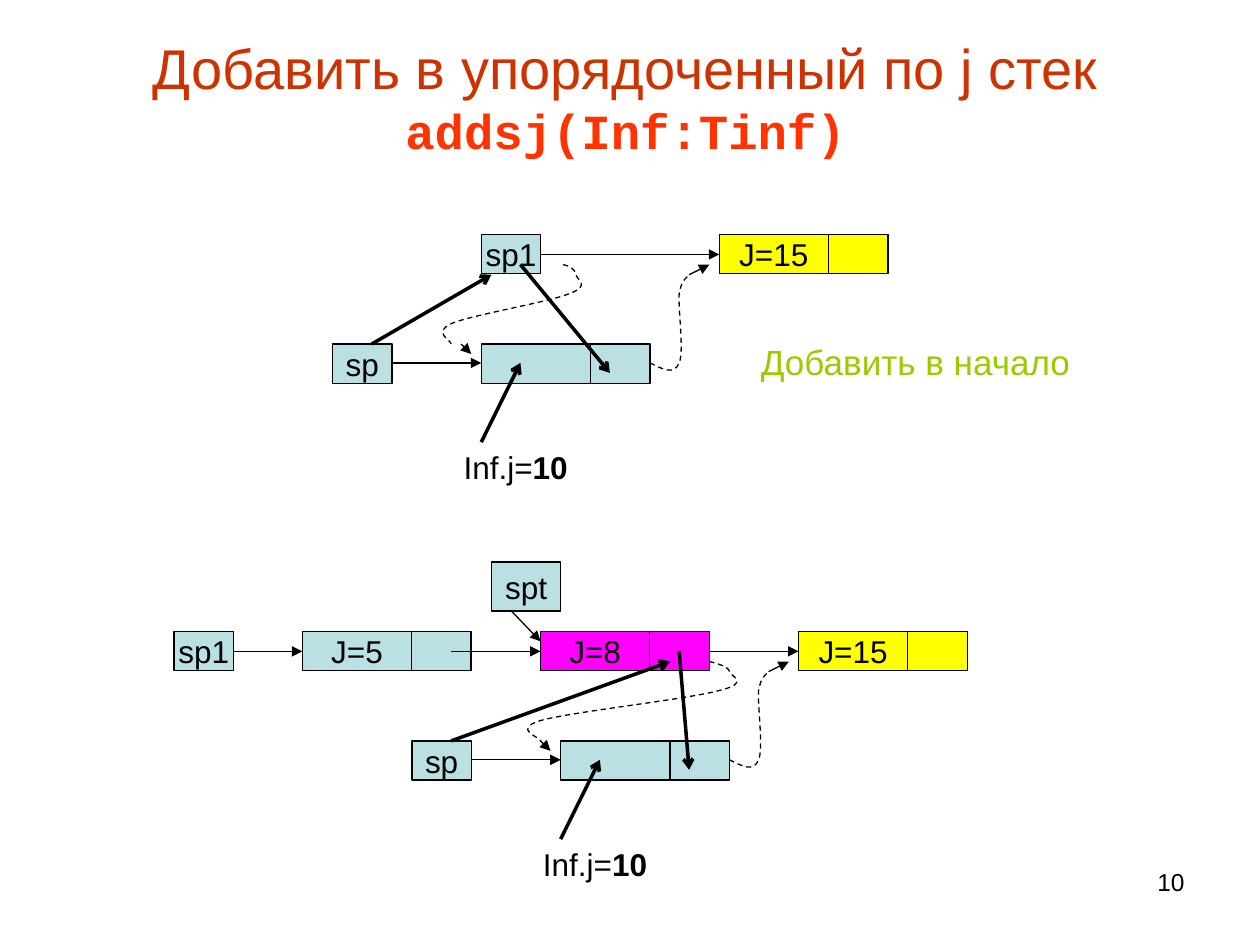
from lxml.etree import SubElement
from pptx import Presentation
from pptx.dml.color import RGBColor
from pptx.enum.dml import MSO_LINE
from pptx.enum.shapes import MSO_CONNECTOR, MSO_SHAPE
from pptx.enum.text import MSO_ANCHOR, MSO_AUTO_SIZE, PP_ALIGN
from pptx.oxml.ns import qn
from pptx.util import Pt

BLACK = RGBColor(0x00, 0x00, 0x00)
BLUE = RGBColor(0xBB, 0xE0, 0xE3)
YELLOW = RGBColor(0xFF, 0xFF, 0x00)
MAGENTA = RGBColor(0xFF, 0x00, 0xFF)
GREEN = RGBColor(0x99, 0xCC, 0x00)
BROWN = RGBColor(0xCC, 0x33, 0x00)
NAVY = RGBColor(0x33, 0x33, 0x99)
RED = RGBColor(0xFF, 0x33, 0x00)

THIN, THICK = 0.75, 2
DATA_WIDTH, LINK_WIDTH, CELL_HEIGHT = 62.4, 34, 22.4
LIST_TOP, LIST_MIDDLE = 361, 372.2

NORMAL = {"name": "Arial", "size": Pt(18), "bold": False}
BOLD = {**NORMAL, "bold": True}
TITLE = [
    ("Добавить в упорядоченный по j стек", {"name": "Arial", "size": Pt(32)}, BROWN),
    (" ", {"name": "Arial", "size": Pt(28)}, NAVY),
    ("addsj(Inf:Tinf)", {"name": "Courier New", "size": Pt(28), "bold": True}, RED),
]

# left, top, text, fill
NODES = [
    (411, 133.9, "J=15", YELLOW),
    (172.8, LIST_TOP, "J=5", BLUE),
    (308.9, LIST_TOP, "J=8", MAGENTA),
    (456.3, LIST_TOP, "J=15", YELLOW),
]
# left, top, width, height, text
POINTERS = [
    (275, 133.9, LINK_WIDTH, CELL_HEIGHT, "sp1"),
    (99.4, LIST_TOP, LINK_WIDTH, CELL_HEIGHT, "sp1"),
    (280.8, 321.1, 39.6, 28.1, "spt"),
]
# start x, start y, end x, end y, line width
ARROWS = [
    (308.9, 145.4, 411, 145.4, THIN),
    (297.4, 151.2, 348.5, 213.1, THICK),
    (212.4, 196.6, 280.8, 157, THICK),
    (263.5, 196.6, 269.3, 202.3, THIN),
    (133.2, LIST_MIDDLE, 172.8, LIST_MIDDLE, THIN),
    (257.8, LIST_MIDDLE, 308.9, LIST_MIDDLE, THIN),
    (405.4, LIST_MIDDLE, 456.3, LIST_MIDDLE, THIN),
    (292.3, 349.2, 308.9, 366.5, THIN),
    (388.1, LIST_MIDDLE, 393.8, 439.9, THICK),
    (257.8, 423.4, 383, 378, THICK),
    (308.9, 423.4, 314.6, 429.1, THIN),
]
# Bezier points: a start, then three for each segment
OLD_LINKS = [
    [(321.8, 151.2), (325.4, 151.9), (329, 154.1), (329, 157),
     (329.8, 159.8), (337.7, 163.4), (325.4, 167.8),
     (313.2, 172.8), (269.3, 180), (257.8, 185),
     (247, 190.1), (257.8, 194.4), (257.8, 196.6)],
    [(405.4, 378), (410.4, 379.4), (416.2, 380.9), (416.9, 383.8),
     (417.6, 386.6), (429.1, 390.2), (411.1, 394.6),
     (393.1, 399.6), (326.2, 406.8), (308.9, 411.8),
     (292.3, 416.9), (308.9, 421.2), (308.9, 423.4)],
]

# The inserted element, drawn once in each diagram at these offsets
INSERT_OFFSETS = [(0, 0), (45.4, 226.8)]
INSERT_ARROWS = [
    (223.9, 207.4, 275, 207.4, THIN),
    (275, 252.7, 297.4, 207.4, THICK),
    (393.8, 157, 405.4, 151.2, THIN),
]
INSERT_LINK = [
    (371.5, 207.4), (378.7, 211), (385.2, 214.6), (388.1, 207.4),
    (391, 200.9, ), (387.4, 176.4), (388.1, 167.8),
    (389.5, 159.1), (393.1, 158.4), (393.8, 157),
]


def write(paragraph, runs):
    for text, formats, color in runs:
        run = paragraph.add_run()
        run.text = text
        for name, value in formats.items():
            setattr(run.font, name, value)
        run.font.color.rgb = color


def add_box(left, top, width, height, text="", fill=BLUE):
    shape = slide.shapes.add_shape(
        MSO_SHAPE.RECTANGLE, Pt(left), Pt(top), Pt(width), Pt(height))
    shape.shadow.inherit = False
    shape.fill.solid()
    shape.fill.fore_color.rgb = fill
    shape.line.color.rgb = BLACK
    shape.line.width = Pt(THIN)
    if text:
        frame = shape.text_frame
        frame.word_wrap = False
        frame.vertical_anchor = MSO_ANCHOR.MIDDLE
        frame.paragraphs[0].alignment = PP_ALIGN.CENTER
        write(frame.paragraphs[0], [(text, NORMAL, BLACK)])


def add_node(left, top, text="", fill=BLUE):
    """Add a list element: a data cell followed by a link cell."""
    add_box(left, top, DATA_WIDTH, CELL_HEIGHT, text, fill)
    add_box(left + DATA_WIDTH, top, LINK_WIDTH, CELL_HEIGHT, fill=fill)


def add_arrow(start_x, start_y, end_x, end_y, width):
    arrow = slide.shapes.add_connector(
        MSO_CONNECTOR.STRAIGHT, Pt(start_x), Pt(start_y), Pt(end_x), Pt(end_y))
    arrow.line.color.rgb = BLACK
    arrow.line.width = Pt(width)
    head = "arrow" if width == THICK else "triangle"
    SubElement(arrow.line._get_or_add_ln(), qn("a:tailEnd"), type=head)
    SubElement(arrow._element.spPr, qn("a:effectLst"))


def add_curve(points):
    """Add a dashed freeform whose line segments become Bezier segments."""
    start, *others = [(Pt(x), Pt(y)) for x, y in points]
    builder = slide.shapes.build_freeform(*start)
    builder.add_line_segments(others, close=False)
    shape = builder.convert_to_shape()
    outline = next(shape._element.iter(qn("a:path")))
    segments = outline.findall(qn("a:lnTo"))
    for first in range(0, len(segments), 3):
        curve = SubElement(outline, qn("a:cubicBezTo"))
        for segment in segments[first:first + 3]:
            curve.append(segment[0])
            outline.remove(segment)
    shape.shadow.inherit = False
    shape.fill.background()
    shape.line.color.rgb = BLACK
    shape.line.width = Pt(THIN)
    shape.line.dash_style = MSO_LINE.DASH


def add_text(left, top, width, height, runs, alignment=PP_ALIGN.LEFT):
    box = slide.shapes.add_textbox(Pt(left), Pt(top), Pt(width), Pt(height))
    box.text_frame.word_wrap = True
    box.text_frame.paragraphs[0].alignment = alignment
    write(box.text_frame.paragraphs[0], runs)


presentation = Presentation()
presentation.slide_width, presentation.slide_height = Pt(720), Pt(540)
slide = presentation.slides.add_slide(presentation.slide_layouts[5])

title = slide.shapes.title
title.left, title.top, title.width, title.height = Pt(31), Pt(21.6), Pt(653), Pt(67)
title.text_frame.auto_size = MSO_AUTO_SIZE.NONE
title.text_frame.vertical_anchor = MSO_ANCHOR.MIDDLE
title.text_frame.paragraphs[0].alignment = PP_ALIGN.CENTER
write(title.text_frame.paragraphs[0], TITLE)

for node in NODES:
    add_node(*node)
for pointer in POINTERS:
    add_box(*pointer)
for dx, dy in INSERT_OFFSETS:
    add_box(190 + dx, 196.6 + dy, LINK_WIDTH, CELL_HEIGHT, "sp")
    add_node(275 + dx, 196.6 + dy)
    for x1, y1, x2, y2, width in INSERT_ARROWS:
        add_arrow(x1 + dx, y1 + dy, x2 + dx, y2 + dy, width)
    add_curve([(x + dx, y + dy) for x, y in INSERT_LINK])
    add_text(257.8 + dx, 252.7 + dy, 85, 28.8,
             [("Inf.j=", NORMAL, BLACK), ("10", BOLD, BLACK)])
for link in OLD_LINKS:
    add_curve(link)
for arrow_points in ARROWS:
    add_arrow(*arrow_points)

add_text(427.7, 190.8, 260.6, 31.7,
         [("Добавить в начало", {**NORMAL, "size": Pt(20)}, GREEN)])
add_text(516.2, 491.8, 167.8, 37.4,
         [("10", {**NORMAL, "size": Pt(14)}, BLACK)], PP_ALIGN.RIGHT)

presentation.save("out.pptx")
